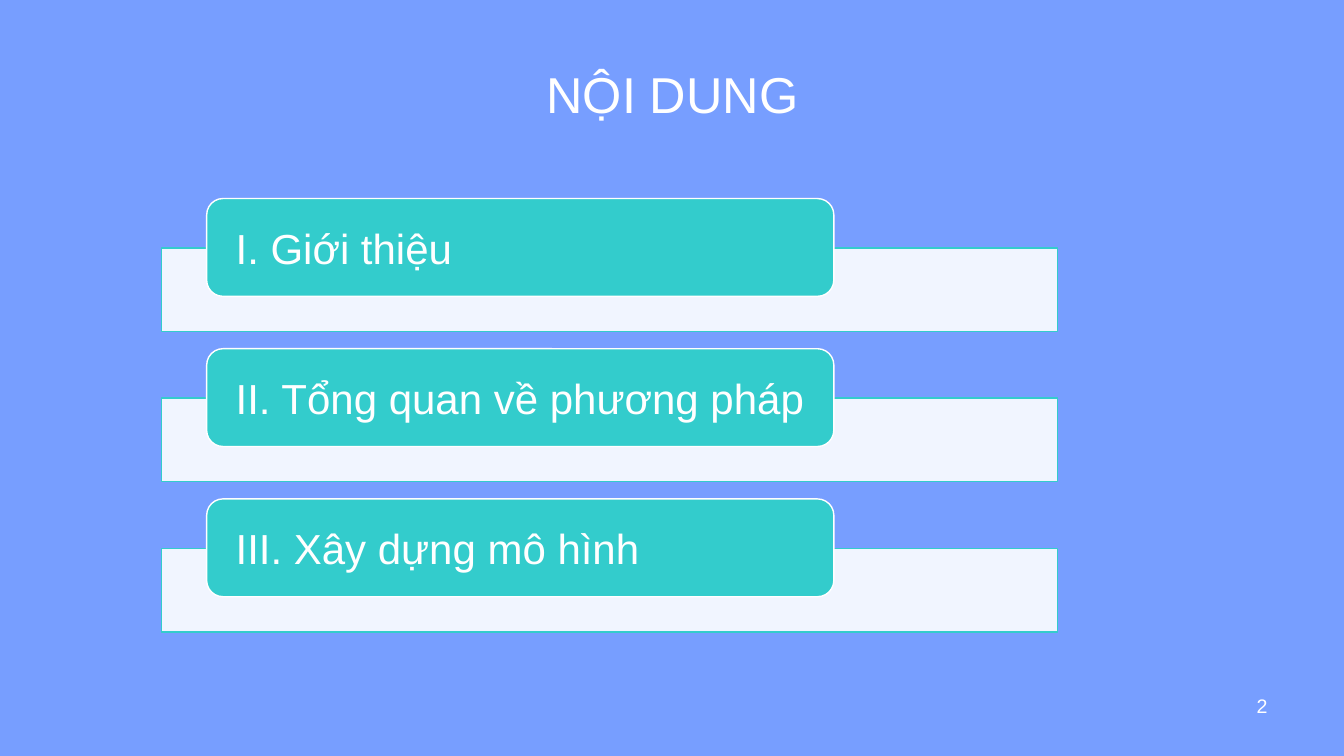
from lxml import etree
from pptx import Presentation
from pptx.dml.color import RGBColor
from pptx.enum.shapes import MSO_SHAPE
from pptx.enum.text import MSO_ANCHOR, PP_ALIGN
from pptx.oxml.ns import qn
from pptx.util import Inches, Pt

RECT = MSO_SHAPE.RECTANGLE
ROUND = MSO_SHAPE.ROUNDED_RECTANGLE
TOP, MIDDLE = MSO_ANCHOR.TOP, MSO_ANCHOR.MIDDLE
LEFT, CENTER, RIGHT = PP_ALIGN.LEFT, PP_ALIGN.CENTER, PP_ALIGN.RIGHT
WHITE, TEAL, BLUE = "FFFFFF", "33CCCC", "779EFF"


def paint(color, value):
    color.rgb = RGBColor.from_string(value)


def write(shape, text, size, align, anchor):
    frame = shape.text_frame
    frame.word_wrap = True
    frame.vertical_anchor = anchor
    para = frame.paragraphs[0]
    para.alignment = align
    run = para.add_run()
    run.text = text
    run.font.name = "Arial"
    run.font.size = Pt(size)
    paint(run.font.color, WHITE)
    return frame


deck = Presentation()
deck.slide_width = Inches(13.33)
deck.slide_height = Inches(7.5)
slide = deck.slides.add_slide(deck.slide_layouts[5])
slide.background.fill.solid()
paint(slide.background.fill.fore_color, BLUE)

title = slide.shapes.title
title.left, title.top = Inches(0.67), Inches(0.3)
title.width, title.height = Inches(12), Inches(1.25)
write(title, "NỘI DUNG", 36, CENTER, MIDDLE)

topics = ["I. Giới thiệu", "II. Tổng quan về phương pháp", "III. Xây dựng mô hình"]
for i, topic in enumerate(topics):
    top = 1.97 + i * 1.49
    bar = slide.shapes.add_shape(
        RECT, Inches(1.6), Inches(top + 0.49), Inches(8.89), Inches(0.83))
    label = slide.shapes.add_shape(
        ROUND, Inches(2.05), Inches(top), Inches(6.22), Inches(0.97))
    for shape, fill, line in ((bar, WHITE, TEAL), (label, TEAL, WHITE)):
        shape.shadow.inherit = False
        shape.fill.solid()
        paint(shape.fill.fore_color, fill)
        paint(shape.line.color, line)
        shape.line.width = Pt(1)
    tint = bar.fill._xPr.find(qn("a:solidFill"))[0]
    etree.SubElement(tint, qn("a:alpha")).set("val", "90000")
    frame = write(label, topic, 30, LEFT, MIDDLE)
    frame.margin_left = frame.margin_right = Inches(0.24)
    frame.margin_top = frame.margin_bottom = 0

number = slide.shapes.add_textbox(
    Inches(9.56), Inches(6.83), Inches(3.11), Inches(0.52))
write(number, "2", 14, RIGHT, TOP)

deck.save("out.pptx")
